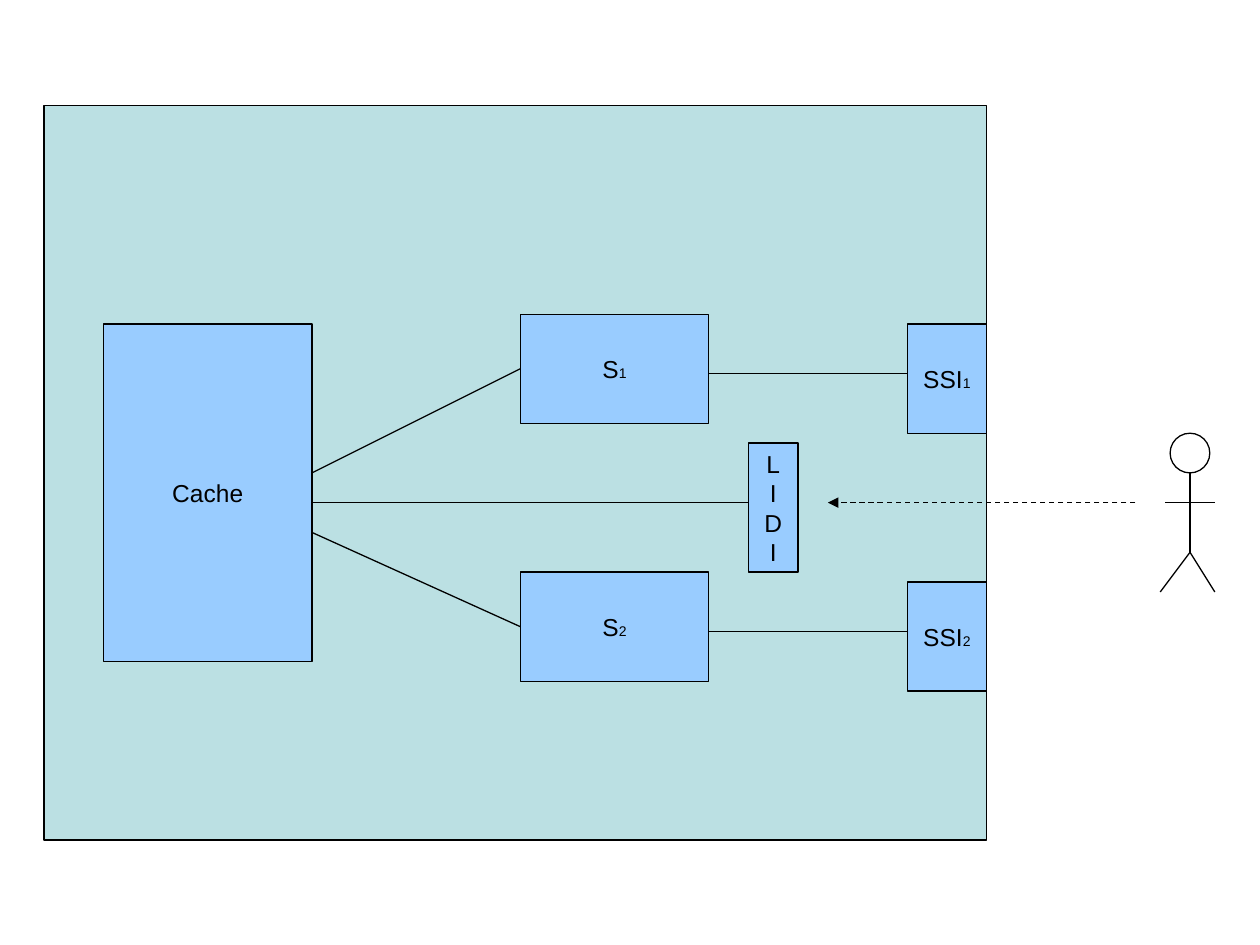
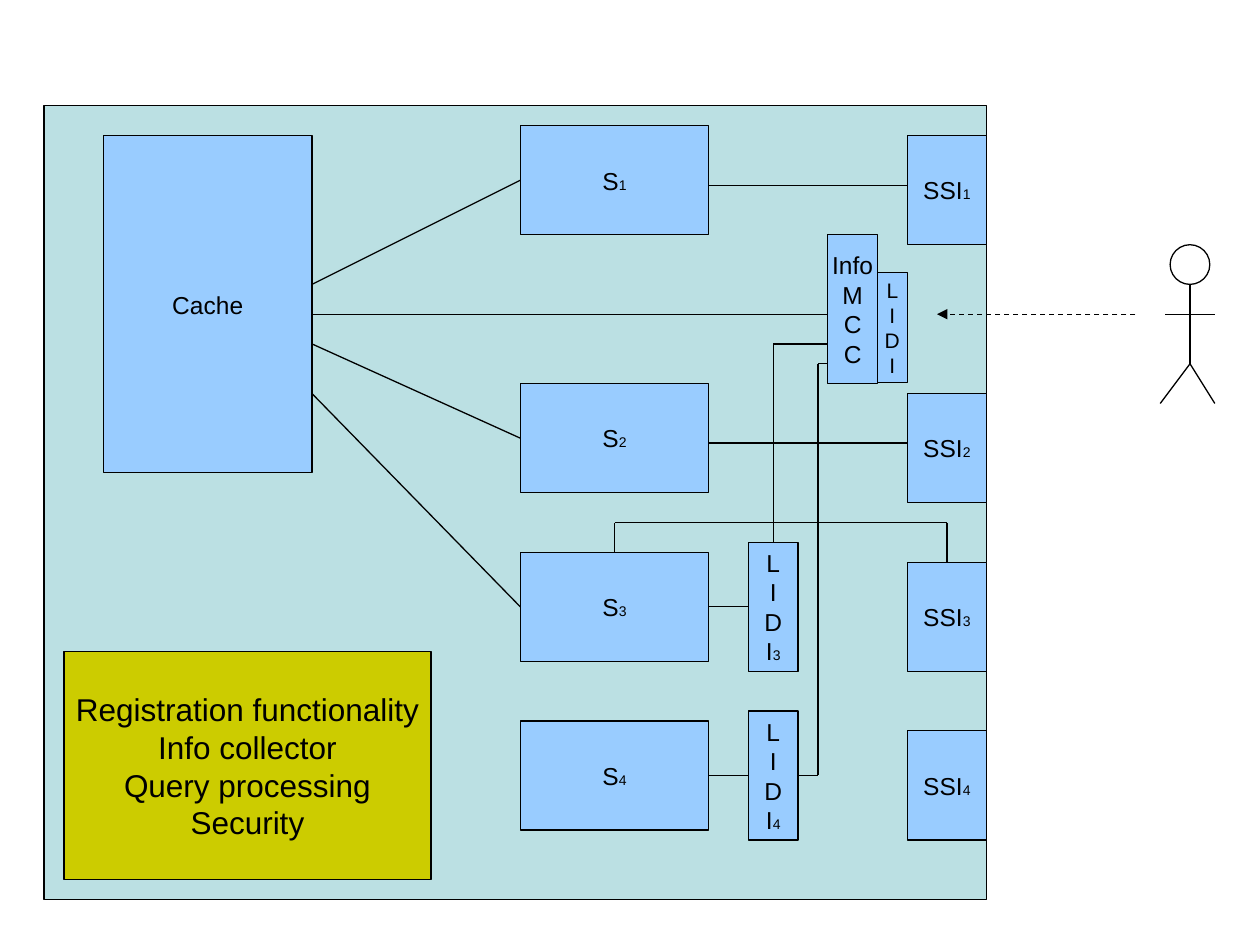
from itertools import pairwise

from lxml.etree import SubElement
from pptx import Presentation
from pptx.dml.color import RGBColor
from pptx.enum.dml import MSO_LINE
from pptx.enum.shapes import MSO_CONNECTOR, MSO_SHAPE
from pptx.enum.text import MSO_ANCHOR, PP_ALIGN
from pptx.oxml.ns import qn
from pptx.util import Cm, Inches, Pt

COLORS = {"panel": "BBE0E3", "part": "99CCFF", "note": "CCCC00", "ink": "000000"}
FONT = "Arial"
UNIT = Cm(0.2)
# The grid starts at the top left corner of the system panel.
ORIGIN_X, ORIGIN_Y = Inches(0.35), Inches(0.84)
TOP, LEFT, BOTTOM, RIGHT = range(4)

PANEL_COLS = 95
CACHE_COL, CACHE_COLS, CACHE_ROWS = 6, 21, 34
CACHE_RIGHT = CACHE_COL + CACHE_COLS
SERVICE_COL, SERVICE_COLS, SERVICE_ROWS = 48, 19, 11
LIDI_COL, LIDI_COLS, LIDI_ROWS = 71, 5, 13
INTERFACE_COLS = 8
INTERFACE_COL = PANEL_COLS - INTERFACE_COLS
LIDI = ["L", "I", "D", "I"]


def rgb(name):
    return RGBColor.from_string(COLORS[name])


def grid_x(col):
    return round(ORIGIN_X + col * UNIT)


def grid_y(row):
    return round(ORIGIN_Y + row * UNIT)


def write(shape, lines, size=14, index_size=8, color="ink"):
    """Centre the lines in the shape; what follows "_" becomes a small index."""
    frame = shape.text_frame
    frame.word_wrap = False
    frame.vertical_anchor = MSO_ANCHOR.MIDDLE
    for number, line in enumerate(lines):
        paragraph = frame.add_paragraph() if number else frame.paragraphs[0]
        paragraph.alignment = PP_ALIGN.CENTER
        for text, points in zip(line.split("_"), (size, index_size)):
            run = paragraph.add_run()
            run.text = text
            run.font.size = Pt(points)
            run.font.name = FONT
            run.font.color.rgb = rgb(color)


def add_block(slide, col, row, cols, rows, lines=(), fill="part",
              kind=MSO_SHAPE.RECTANGLE, **text_format):
    block = slide.shapes.add_shape(kind, grid_x(col), grid_y(row),
                                   round(cols * UNIT), round(rows * UNIT))
    block.shadow.inherit = False
    if fill:
        block.fill.solid()
        block.fill.fore_color.rgb = rgb(fill)
    else:
        block.fill.background()
    block.line.color.rgb = rgb("ink")
    block.line.width = Pt(0.75)
    if lines:
        write(block, lines, **text_format)
    return block


def add_link(slide, *stops, arrow=False):
    """Draw lines through stops, each a (col, row) point or a (block, side) pair."""
    for start, end in pairwise(stops):
        ends = [(0, 0) if hasattr(stop[0], "shape_id")
                else (grid_x(stop[0]), grid_y(stop[1])) for stop in (start, end)]
        link = slide.shapes.add_connector(MSO_CONNECTOR.STRAIGHT, *ends[0], *ends[1])
        for stop, connect in ((start, link.begin_connect), (end, link.end_connect)):
            if hasattr(stop[0], "shape_id"):
                connect(*stop)
        link.line.color.rgb = rgb("ink")
        link.line.width = Pt(0.75)
        if arrow:
            link.line.dash_style = MSO_LINE.DASH
            SubElement(link.line._get_or_add_ln(), qn("a:tailEnd"), type="triangle")
        SubElement(link._element.spPr, qn("a:effectLst"))


def add_service(slide, number, row):
    """Place a service and its interface, one row lower at the panel's edge."""
    service = add_block(slide, SERVICE_COL, row, SERVICE_COLS, SERVICE_ROWS,
                        [f"S_{number}"])
    interface = add_block(slide, INTERFACE_COL, row + 1, INTERFACE_COLS,
                          SERVICE_ROWS, [f"SSI_{number}"])
    return service, interface


def add_user(slide, row, arrow_col):
    """Draw the stick figure, head at the given row, and its request arrow."""
    center, hip, arms = 115.5, row + 12, row + 7
    add_link(slide, (center, row + 4), (center, hip))
    for foot in (112.5, 118):
        add_link(slide, (center, hip), (foot, row + 16))
    add_link(slide, (113, arms), (118, arms))
    add_block(slide, center - 2, row, 4, 4, fill=None, kind=MSO_SHAPE.OVAL)
    add_link(slide, (110, arms), (arrow_col, arms), arrow=True)


def add_core(slide, row, panel_rows, entry_col, arrow_col):
    """Build the panel, cache, first two services and user, cache at the given row."""
    add_block(slide, 0, 0, PANEL_COLS, panel_rows, fill="panel")
    add_block(slide, CACHE_COL, row, CACHE_COLS, CACHE_ROWS, ["Cache"])
    for number, service_row, cache_row in ((1, row - 1, row + 15),
                                           (2, row + 25, row + 21)):
        service, _ = add_service(slide, number, service_row)
        add_link(slide, (CACHE_RIGHT, cache_row), (service, LEFT))
        link_row = service_row + 6
        add_link(slide, (SERVICE_COL + SERVICE_COLS, link_row),
                 (INTERFACE_COL, link_row))
    add_link(slide, (CACHE_RIGHT, row + 18), (entry_col, row + 18))
    add_user(slide, row + 11, arrow_col)


def add_local_service(slide, number, row):
    """Place a service with its own LIDI block beside it."""
    service, interface = add_service(slide, number, row)
    lidi = add_block(slide, LIDI_COL, row - 1, LIDI_COLS, LIDI_ROWS,
                     LIDI[:3] + [f"I_{number}"])
    add_link(slide, (service, RIGHT), (lidi, LEFT))
    return service, interface, lidi


def build_basic_slide(slide):
    add_core(slide, row=22, panel_rows=74, entry_col=LIDI_COL, arrow_col=79)
    add_block(slide, LIDI_COL, 34, LIDI_COLS, LIDI_ROWS, LIDI)


def build_extended_slide(slide):
    info_col = 79
    add_core(slide, row=3, panel_rows=80, entry_col=info_col, arrow_col=90)
    add_block(slide, info_col, 13, 5, 15, ["Info", "M", "C", "C"])
    add_block(slide, info_col + 5, 16.8, 3, 11.1, LIDI, size=12)

    service_3, interface_3, lidi_3 = add_local_service(slide, 3, 45)
    _, _, lidi_4 = add_local_service(slide, 4, 62)
    add_link(slide, (CACHE_RIGHT, 29), (service_3, LEFT))

    lidi_center = LIDI_COL + LIDI_COLS / 2
    add_link(slide, (lidi_3, TOP), (lidi_center, 24), (info_col, 24))
    lidi_4_center = 61 + LIDI_ROWS / 2
    add_link(slide, (lidi_4, RIGHT), (info_col - 1, lidi_4_center),
             (info_col - 1, 26), (info_col, 26))
    service_center = SERVICE_COL + SERVICE_COLS / 2
    interface_center = INTERFACE_COL + INTERFACE_COLS / 2
    add_link(slide, (service_3, TOP), (service_center, 42),
             (interface_center, 42), (interface_3, TOP))

    add_block(slide, 2, 55, 37, 23,
              ["Registration functionality", "Info collector",
               "Query processing", "Security"], fill="note", size=18)


def main():
    deck = Presentation()
    deck.slide_width, deck.slide_height = Inches(10), Inches(7.5)
    blank = deck.slide_layouts[6]
    for build in (build_basic_slide, build_extended_slide):
        build(deck.slides.add_slide(blank))
    deck.save("out.pptx")


if __name__ == "__main__":
    main()
